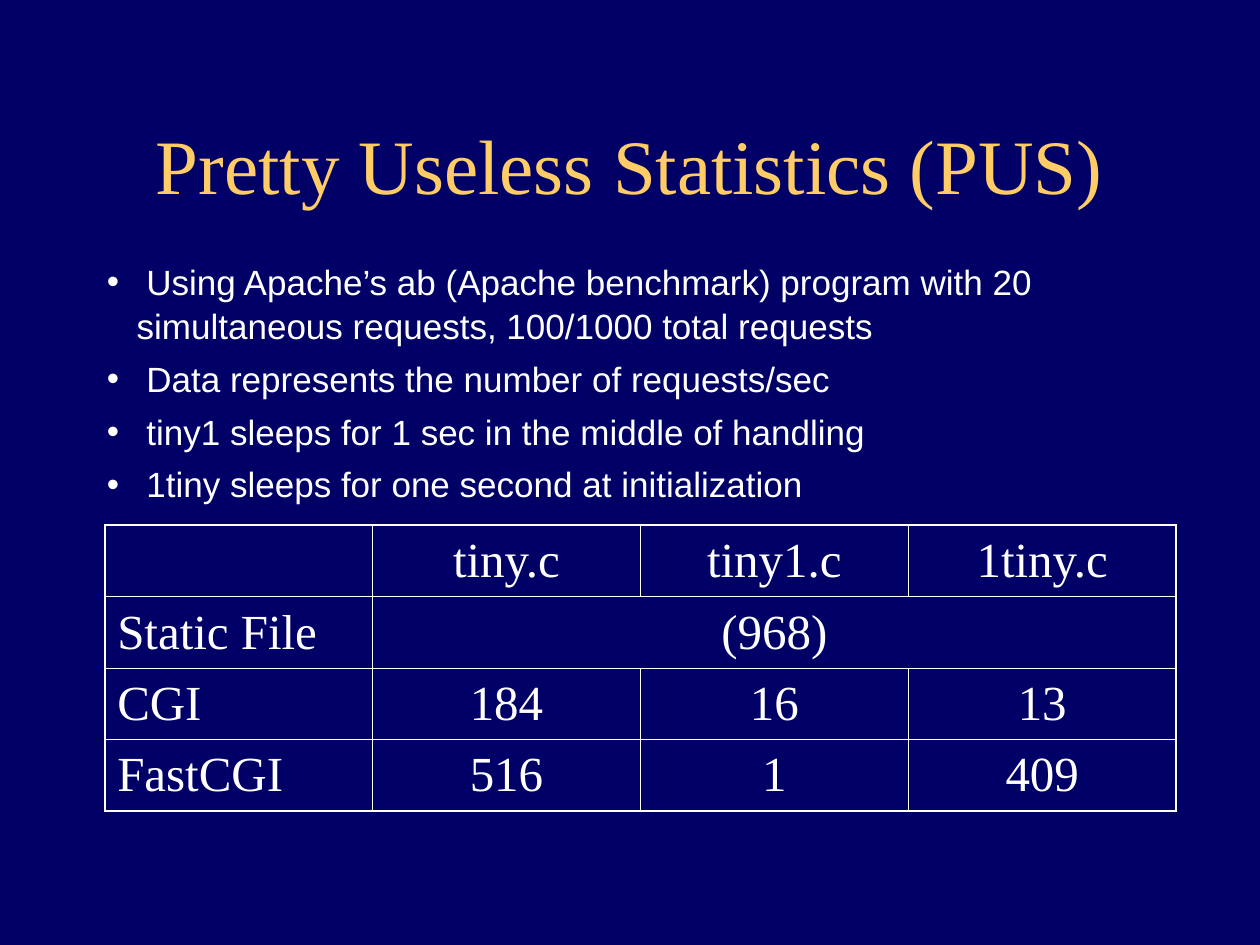
from lxml import etree
from pptx import Presentation
from pptx.dml.color import RGBColor
from pptx.enum import text
from pptx.oxml import ns
from pptx.util import Cm, Pt

# Content
HEADING = "Pretty Useless Statistics (PUS)"
NOTES = [
    " Using Apache’s ab (Apache benchmark) program with 20 simultaneous requests, 100/1000 total requests",
    " Data represents the number of requests/sec",
    " tiny1 sleeps for 1 sec in the middle of handling",
    " 1tiny sleeps for one second at initialization",
]
RATES = [
    ["", "tiny.c", "tiny1.c", "1tiny.c"],
    ["Static File", "(968)"],  # one value across all three programs
    ["CGI", "184", "16", "13"],
    ["FastCGI", "516", "1", "409"],
]

# Formats
NAVY, GOLD, WHITE = "000066", "FFCC66", "FFFFFF"
HEADING_FONT = {"name": "Times New Roman", "size": Pt(44), "color": GOLD}
NOTE_FONT = {"name": "Arial", "size": Pt(20), "color": WHITE}
RATE_FONT = {"name": "Times New Roman", "size": Pt(28), "color": WHITE}
OUTER, INNER = Pt(1.08), Pt(0.45)
HANG = Cm(0.6)


def paint(color_format, value):
    color_format.rgb = RGBColor.from_string(value)


def style(font, formats):
    for key, value in formats.items():
        if key == "color":
            paint(font.color, value)
        else:
            setattr(font, key, value)


def place(part, left, top, width, height):
    part.left, part.top, part.width, part.height = map(Cm, (left, top, width, height))


def add(parent, tag, **attributes):
    return etree.SubElement(parent, ns.qn(tag), **attributes)


def add_bullet(paragraph):
    properties = paragraph._p.get_or_add_pPr()
    properties.set("marL", str(HANG))
    properties.set("indent", str(-HANG))
    add(add(properties, "a:buClr"), "a:srgbClr", val=WHITE)
    add(properties, "a:buFont", typeface="Arial")
    add(properties, "a:buChar", char="•")


def add_borders(cell, widths):
    properties = cell._tc.get_or_add_tcPr()
    for side, width in widths.items():
        line = add(properties, f"a:ln{side}", w=str(width))
        add(add(line, "a:solidFill"), "a:srgbClr", val=WHITE)


# Slide
deck = Presentation()
deck.slide_width, deck.slide_height = Cm(25.4), Cm(19.05)
slide = deck.slides.add_slide(deck.slide_layouts[1])
slide.background.fill.solid()
paint(slide.background.fill.fore_color, NAVY)

# Heading
heading = slide.shapes.title
place(heading, 1.9, 1.7, 21.6, 3.18)
heading.text_frame.text = HEADING
heading.text_frame.auto_size = text.MSO_AUTO_SIZE.NONE
style(heading.text_frame.paragraphs[0].font, HEADING_FONT)

# Notes
notes = slide.placeholders[1]
place(notes, 1.9, 5.08, 21.8, 5.03)
notes.text_frame.auto_size = text.MSO_AUTO_SIZE.NONE
notes.text_frame.text = "\n".join(NOTES)
for index, note in enumerate(notes.text_frame.paragraphs):
    add_bullet(note)
    note.space_before = Pt(5 if index else 0)
    note.line_spacing = 1.05
    style(note.font, NOTE_FONT)

# Request rates
last_row, last_column = len(RATES) - 1, len(RATES[0]) - 1
rates = slide.shapes.add_table(
    last_row + 1, last_column + 1, Cm(2.11), Cm(10.59), Cm(21.6), Cm(5.76)
).table
rates.first_row = rates.horz_banding = False
for r, values in enumerate(RATES):
    if len(values) <= last_column:
        rates.cell(r, 1).merge(rates.cell(r, last_column))
    for c in range(last_column + 1):
        cell = rates.cell(r, c)
        at_right = c == last_column or cell.is_merge_origin
        add_borders(cell, {
            "L": INNER if c else OUTER,
            "R": OUTER if at_right else INNER,
            "T": INNER if r else OUTER,
            "B": OUTER if r == last_row else INNER,
        })
        cell.fill.background()
        cell.vertical_anchor = text.MSO_ANCHOR.MIDDLE
        if c < len(values):
            cell.text = values[c]
        entry = cell.text_frame.paragraphs[0]
        entry.alignment = text.PP_ALIGN.CENTER if c else text.PP_ALIGN.LEFT
        style(entry.font, RATE_FONT)

deck.save("out.pptx")
